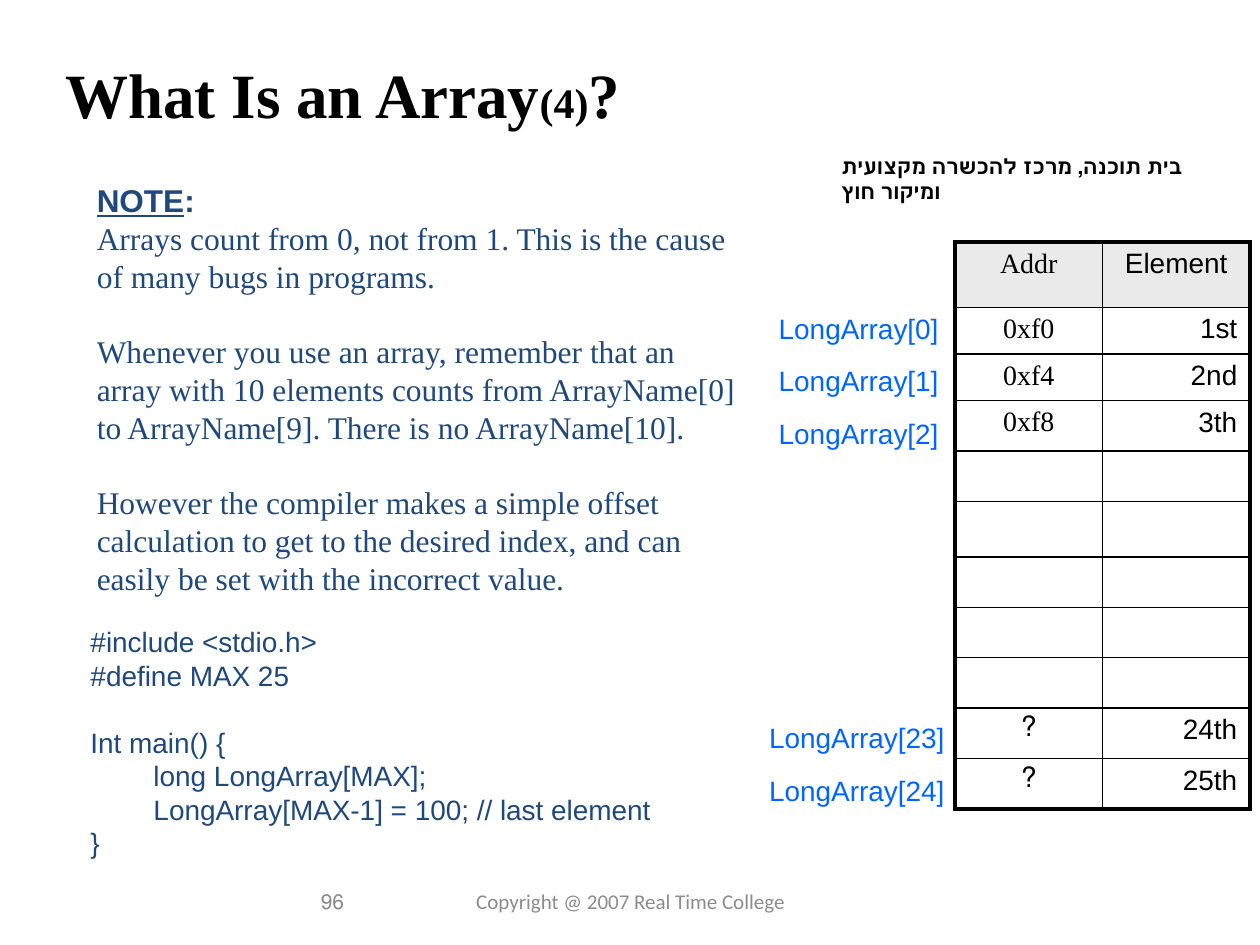
from lxml import etree
from pptx import Presentation
from pptx.dml.color import RGBColor
from pptx.enum.text import MSO_ANCHOR, PP_ALIGN
from pptx.oxml.ns import qn
from pptx.util import Inches, Pt

LEFT, CENTER, RIGHT = PP_ALIGN.LEFT, PP_ALIGN.CENTER, PP_ALIGN.RIGHT
TOP, MIDDLE = MSO_ANCHOR.TOP, MSO_ANCHOR.MIDDLE

BLACK = RGBColor(0x00, 0x00, 0x00)
NAVY = RGBColor(0x1F, 0x49, 0x7D)
BLUE = RGBColor(0x00, 0x66, 0xFF)
HEADER_GRAY = RGBColor(0xEA, 0xEA, 0xEA)
FOOTER_GRAY = RGBColor(0x8C, 0x8C, 0x8C)
NUMBER_GRAY = RGBColor(0x89, 0x89, 0x89)
SANS, SERIF, FOOTER_FONT = "Arial", "Times New Roman", "Calibri"

# Content
TAGLINE = "בית תוכנה, מרכז להכשרה מקצועית ומיקור חוץ"
COPYRIGHT = "Copyright @ 2007 Real Time College"
PAGE_NUMBER = "96"
TITLE = [("What Is an Array", 36), ("(4)", 24), ("?", 36)]
NOTES = [
    "Arrays count from 0, not from 1. This is the cause of many bugs in programs.",
    "Whenever you use an array, remember that an array with 10 elements counts "
    "from ArrayName[0] to ArrayName[9]. There is no ArrayName[10].",
    "However the compiler makes a simple offset calculation to get to the "
    "desired index, and can easily be set with the incorrect value.",
]
CODE_BLOCKS = [
    ["#include <stdio.h>", "#define MAX 25"],
    ["Int main() {", "\tlong LongArray[MAX];",
     "\tLongArray[MAX-1] = 100; // last element", "}"],
]
TABLE_ROWS = [
    ("Addr", "Element"), ("0xf0", "1st"), ("0xf4", "2nd"), ("0xf8", "3th"),
    *[("", "")] * 5,
    ("?", "24th"), ("?", "25th"),
]
ROW_HEIGHTS = [0.52, 0.37, 0.37, 0.4, 0.4, 0.44] + [0.4] * 5
# First index, count, left, top, width
LABEL_GROUPS = [(0, 3, 6.08, 2.42, 1.47), (23, 2, 6, 5.67, 1.6)]
LABEL_STEP = 5 / 12


def add_text_frame(slide, left, top, width, height, anchor=TOP, wrap=True):
    box = slide.shapes.add_textbox(
        Inches(left), Inches(top), Inches(width), Inches(height))
    frame = box.text_frame
    frame.word_wrap = wrap
    frame.vertical_anchor = anchor
    return frame


def add_run(paragraph, text, size, font, color, bold=False, underline=False):
    run = paragraph.add_run()
    run.text = text
    run.font.size = Pt(size)
    run.font.name = font
    run.font.color.rgb = color
    run.font.bold = bold
    run.font.underline = underline


def align(paragraph, alignment, right_to_left=False):
    paragraph.alignment = alignment
    if right_to_left:
        paragraph._p.get_or_add_pPr().set("rtl", "1")


def set_borders(cell, widths):
    properties = cell._tc.get_or_add_tcPr()
    for side, width in zip("LRTB", widths):
        line = etree.SubElement(properties, qn(f"a:ln{side}"), w=str(Pt(width)))
        fill = etree.SubElement(line, qn("a:solidFill"))
        etree.SubElement(fill, qn("a:srgbClr"), val=str(BLACK))


def add_array_table(slide):
    last_row = len(TABLE_ROWS) - 1
    table = slide.shapes.add_table(
        len(TABLE_ROWS), 2, Inches(7.58), Inches(1.92),
        Inches(2.33), Inches(sum(ROW_HEIGHTS))).table
    table.first_row = table.horz_banding = False
    for column in table.columns:
        column.width = Inches(1.17)
    for i, (values, height) in enumerate(zip(TABLE_ROWS, ROW_HEIGHTS)):
        table.rows[i].height = Inches(height)
        for j, value in enumerate(values):
            cell = table.cell(i, j)
            outer = (j == 0, j == 1, i == 0, i == last_row)
            set_borders(cell, [2.25 if edge else 1 for edge in outer])
            if i == 0:
                cell.fill.solid()
                cell.fill.fore_color.rgb = HEADER_GRAY
            else:
                cell.fill.background()
            if value:
                paragraph = cell.text_frame.paragraphs[0]
                align(paragraph, RIGHT if i and j else CENTER, True)
                add_run(paragraph, value, 16, SANS if j else SERIF, BLACK)


def main():
    presentation = Presentation()
    presentation.slide_width, presentation.slide_height = Inches(10), Inches(7.5)
    slide = presentation.slides.add_slide(presentation.slide_layouts[6])

    # Tagline, footer and page number
    small_texts = [
        (TAGLINE, (6.58, 1.17, 3.07, 0.3), TOP, LEFT, SANS, BLACK, True),
        (COPYRIGHT, (3.42, 6.95, 3.17, 0.4), MIDDLE, CENTER, FOOTER_FONT,
         FOOTER_GRAY, False),
        (PAGE_NUMBER, (0.5, 6.95, 2.33, 0.4), MIDDLE, RIGHT, SANS,
         NUMBER_GRAY, False),
    ]
    for text, place, anchor, alignment, font, color, bold in small_texts:
        paragraph = add_text_frame(slide, *place, anchor).paragraphs[0]
        align(paragraph, alignment, True)
        add_run(paragraph, text, 12, font, color, bold)

    # Title
    paragraph = add_text_frame(slide, 0.42, 0.39, 5.33, 0.7).paragraphs[0]
    for text, size in TITLE:
        add_run(paragraph, text, size, SERIF, BLACK, True)

    add_array_table(slide)

    # Index labels beside the table rows
    for first, count, left, top, width in LABEL_GROUPS:
        for i in range(count):
            frame = add_text_frame(
                slide, left, top + i * LABEL_STEP, width, 0.37, wrap=False)
            align(frame.paragraphs[0], CENTER)
            add_run(frame.paragraphs[0], f"LongArray[{first + i}]", 16, SANS, BLUE)

    # Notes
    frame = add_text_frame(slide, 0.67, 1.39, 5.33, 3.43)
    add_run(frame.paragraphs[0], "NOTE", 18, SANS, NAVY, True, True)
    add_run(frame.paragraphs[0], ":", 18, SANS, NAVY, True)
    for i, note in enumerate(NOTES):
        paragraph = frame.add_paragraph()
        if i:
            paragraph.space_before = Pt(21.5)
        add_run(paragraph, note, 18, SERIF, NAVY)

    # Code, with a gap between blocks
    frame = add_text_frame(slide, 0.62, 4.91, 5.7, 1.99)
    for i, block in enumerate(CODE_BLOCKS):
        for j, line in enumerate(block):
            paragraph = frame.add_paragraph() if i or j else frame.paragraphs[0]
            if i and j == 0:
                paragraph.space_before = Pt(19)
            add_run(paragraph, line, 16, SANS, NAVY)

    presentation.save("out.pptx")


if __name__ == "__main__":
    main()
